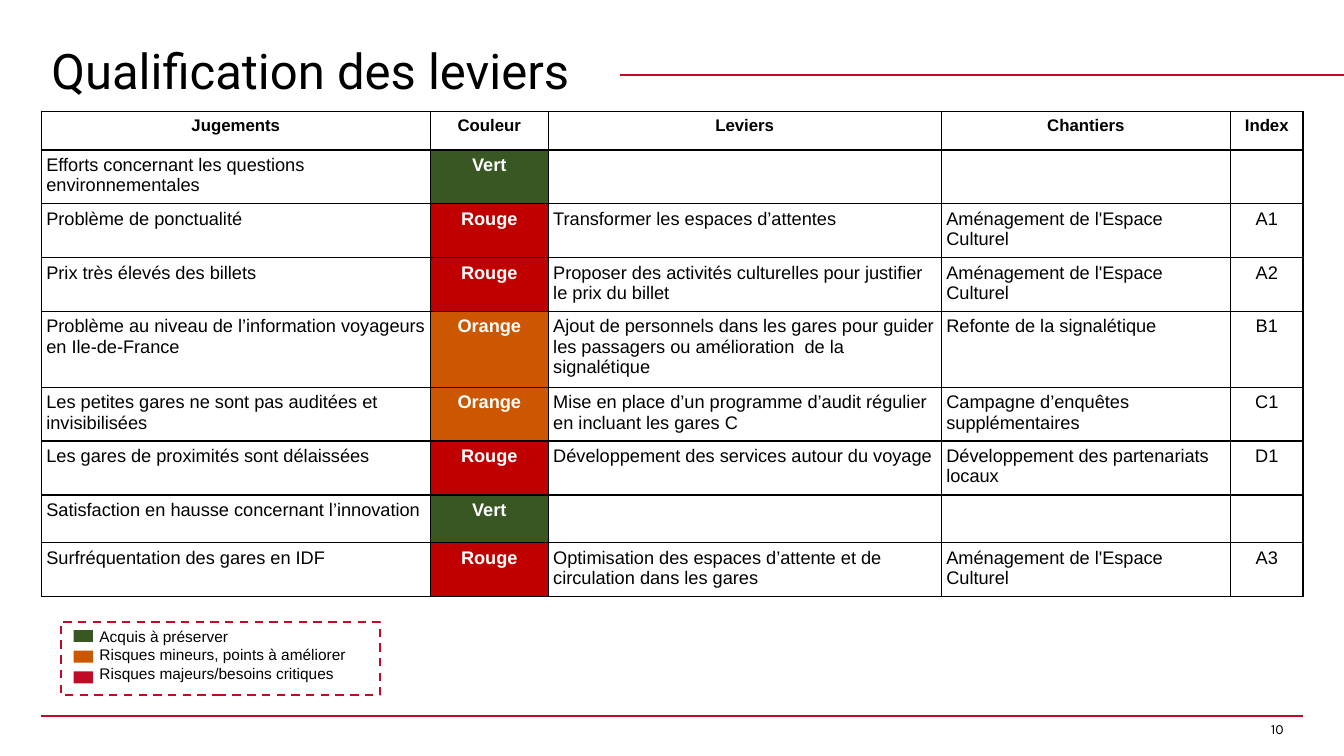
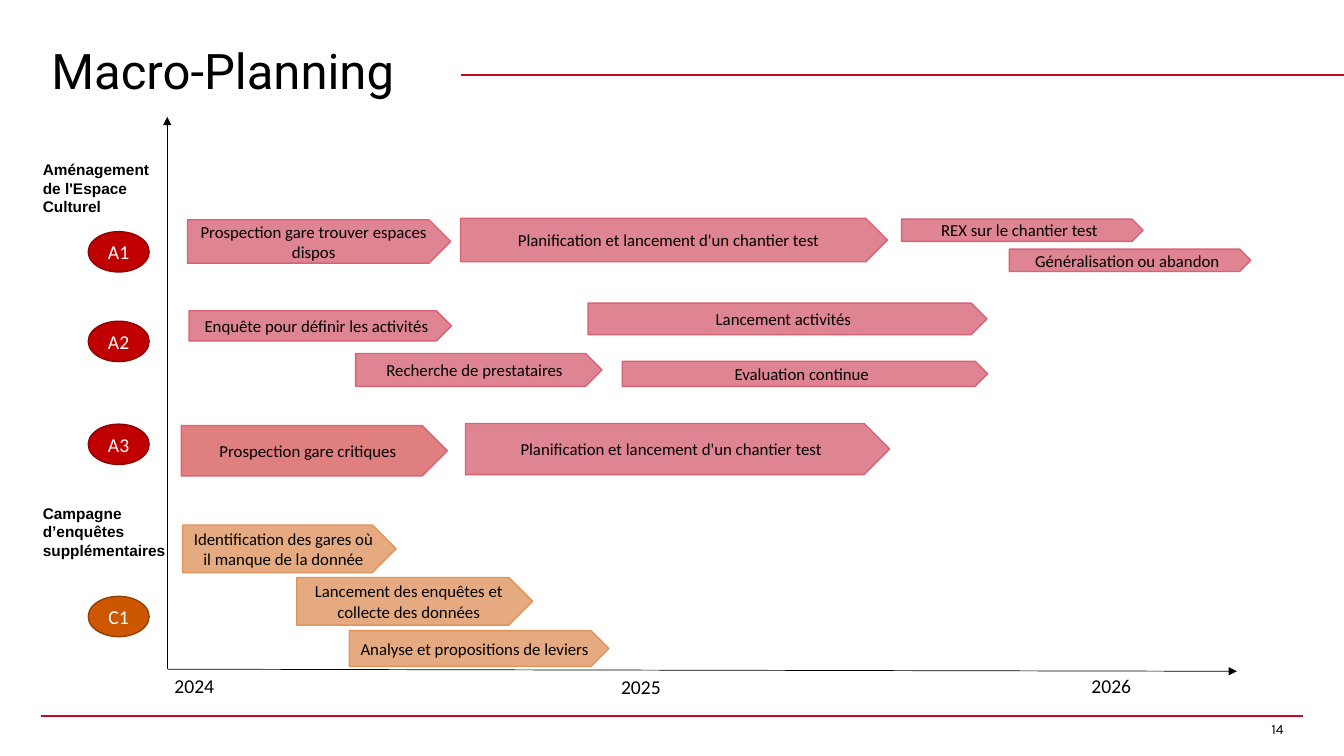
"""Build a lever qualification table and a macro-planning timeline."""
from dataclasses import dataclass
from typing import Any, Optional

import lxml.etree
import pptx
import pptx.dml.color
import pptx.enum.dml
import pptx.enum.shapes
import pptx.enum.text
import pptx.oxml.ns
import pptx.slide
import pptx.util

Pt = pptx.util.Pt
RGBColor = pptx.dml.color.RGBColor
MSO_SHAPE = pptx.enum.shapes.MSO_SHAPE
PP_ALIGN = pptx.enum.text.PP_ALIGN
MSO_ANCHOR = pptx.enum.text.MSO_ANCHOR
qn = pptx.oxml.ns.qn

BLACK = RGBColor(0x00, 0x00, 0x00)
WHITE = RGBColor(0xFF, 0xFF, 0xFF)
CRIMSON = RGBColor(0xC1, 0x0A, 0x26)
RED = RGBColor(0xC0, 0x00, 0x00)
DARK_RED = RGBColor(0x8E, 0x00, 0x00)
PINK = RGBColor(0xD7, 0x63, 0x74)
ORANGE = RGBColor(0xCC, 0x57, 0x00)
DARK_ORANGE = RGBColor(0x92, 0x3F, 0x00)
PEACH = RGBColor(0xDE, 0x94, 0x5C)
GREEN = RGBColor(0x38, 0x57, 0x23)

WIDTH, HEIGHT = 960, 540
LEFT, RIGHT = 29.5, 931
FOOTER_Y = 511.2
JUDGEMENT_COLORS = {"Vert": GREEN, "Rouge": RED, "Orange": ORANGE}


@dataclass(frozen=True)
class Lever:
    """A judgement with its rating and the lever that answers it."""
    judgement: str
    color: str
    lever: str = ""
    project: str = ""
    index: str = ""


@dataclass(frozen=True)
class Task:
    """An arrow bar on the timeline."""
    text: str
    x: float
    y: float
    w: float
    h: float
    fill: RGBColor = CRIMSON
    line: RGBColor = PINK


@dataclass(frozen=True)
class Badge:
    """An oval that names a timeline row."""
    text: str
    y: float
    fill: RGBColor = RED
    line: RGBColor = DARK_RED


@dataclass(frozen=True)
class Label:
    """A free text on the timeline."""
    text: str
    x: float
    y: float
    w: float
    h: float


HEADERS = ("Jugements", "Couleur", "Leviers", "Chantiers", "Index")
COLUMN_WIDTHS = (277.9, 84.2, 280.8, 206.6, 51.8)
CULTURE = "Aménagement de l'Espace Culturel"
SURVEYS = "Campagne d’enquêtes supplémentaires"
TEST_SITE = "Planification et lancement d'un chantier test"

LEVERS = (
    Lever("Efforts concernant les questions environnementales", "Vert"),
    Lever("Problème de ponctualité", "Rouge",
          "Transformer les espaces d’attentes", CULTURE, "A1"),
    Lever("Prix très élevés des billets", "Rouge",
          "Proposer des activités culturelles pour justifier le prix du billet", CULTURE, "A2"),
    Lever("Problème au niveau de l’information voyageurs en Ile-de-France", "Orange",
          "Ajout de personnels dans les gares pour guider les passagers ou "
          "amélioration  de la signalétique", "Refonte de la signalétique", "B1"),
    Lever("Les petites gares ne sont pas auditées et invisibilisées", "Orange",
          "Mise en place d’un programme d’audit régulier en incluant les gares C", SURVEYS, "C1"),
    Lever("Les gares de proximités sont délaissées", "Rouge",
          "Développement des services autour du voyage",
          "Développement des partenariats locaux", "D1"),
    Lever("Satisfaction en hausse concernant l’innovation", "Vert"),
    Lever("Surfréquentation des gares en IDF", "Rouge",
          "Optimisation des espaces d’attente et de circulation dans les gares", CULTURE, "A3"),
)

LEGEND = (
    ("Acquis à préserver", GREEN),
    ("Risques mineurs, points à améliorer", ORANGE),
    ("Risques majeurs/besoins critiques", CRIMSON),
)

TASKS = (
    Task("Prospection gare trouver espaces dispos", 134, 157, 188, 31),
    Task(TEST_SITE, 329, 156, 305, 31),
    Task("REX sur le chantier test", 644, 156.5, 172.5, 16),
    Task("Généralisation ou abandon", 721, 178, 172.5, 16),
    Task("Enquête pour définir les activités", 135, 222, 187.5, 21.5),
    Task("Lancement activités", 420, 216.5, 285, 22.5),
    Task("Recherche de prestataires", 254, 252.5, 176, 23.5),
    Task("Evaluation continue", 444.5, 258, 261, 18),
    Task("Prospection gare critiques", 129.5, 304, 190, 36, RED),
    Task(TEST_SITE, 332.5, 302.5, 303, 36.5),
    Task("Identification des gares où il manque de la donnée",
         130.5, 375, 152.5, 34, ORANGE, PEACH),
    Task("Lancement des enquêtes et collecte des données",
         212, 412.5, 168.5, 34, ORANGE, PEACH),
    Task("Analyse et propositions de leviers", 249.5, 450.5, 185.5, 25.5, ORANGE, PEACH),
)
BADGES = (Badge("A1", 165.5), Badge("A2", 229.5), Badge("A3", 303),
          Badge("C1", 426, ORANGE, DARK_ORANGE))
YEARS = (Label("2024", 117.5, 478, 60, 24.5), Label("2025", 436.5, 478.5, 60, 24.5),
         Label("2026", 772.5, 478, 60, 24.5))
PROJECTS = (Label(CULTURE, 23.5, 111, 103, 47.5), Label(SURVEYS, 23.5, 356.5, 108.5, 47.5))


def put_text(tf: Any, text: str, *, size: float, font: str = "Arial",
             color: RGBColor = BLACK, bold: bool = False,
             align: PP_ALIGN = PP_ALIGN.LEFT, anchor: Optional[MSO_ANCHOR] = None,
             spacing: Optional[float] = None) -> None:
    """Fill a text frame, one paragraph per line of text."""
    tf.word_wrap = True
    if anchor is not None:
        tf.vertical_anchor = anchor
    for i, line in enumerate(text.split("\n")):
        p = tf.add_paragraph() if i else tf.paragraphs[0]
        p.alignment = align
        if spacing:
            p.line_spacing = spacing
        r = p.add_run()
        r.text = line
        r.font.name, r.font.size, r.font.bold = font, Pt(size), bold
        r.font.color.rgb = color


def add_text(shapes: Any, text: str, x: float, y: float, w: float, h: float,
             **style: Any) -> None:
    """Add a text box."""
    box = shapes.add_textbox(Pt(x), Pt(y), Pt(w), Pt(h))
    put_text(box.text_frame, text, **style)


def add_shape(shapes: Any, kind: MSO_SHAPE, x: float, y: float, w: float, h: float,
              fill: Optional[RGBColor] = None, line: Optional[RGBColor] = None,
              weight: float = 1, alpha: Optional[int] = None) -> Any:
    """Add a flat preset shape; alpha is the fill opacity in percent."""
    sp = shapes.add_shape(kind, Pt(x), Pt(y), Pt(w), Pt(h))
    sp.shadow.inherit = False
    if fill is None:
        sp.fill.background()
    else:
        sp.fill.solid()
        sp.fill.fore_color.rgb = fill
    if alpha is not None:
        clr = sp._element.spPr.find(f"{qn('a:solidFill')}/{qn('a:srgbClr')}")
        lxml.etree.SubElement(clr, qn("a:alpha"), val=str(alpha * 1000))
    if line is None:
        sp.line.fill.background()
    else:
        sp.line.color.rgb = line
        sp.line.width = Pt(weight)
    return sp


def add_line(s: pptx.slide.Slide, x1: float, y1: float, x2: float, y2: float,
             color: RGBColor = CRIMSON, weight: float = 1.5, arrow: bool = False) -> None:
    """Add a straight line, with an arrowhead at its end if asked."""
    cx = s.shapes.add_connector(pptx.enum.shapes.MSO_CONNECTOR.STRAIGHT,
                                Pt(x1), Pt(y1), Pt(x2), Pt(y2))
    cx.line.color.rgb = color
    cx.line.width = Pt(weight)
    if arrow:
        lxml.etree.SubElement(cx.line._get_or_add_ln(), qn("a:tailEnd"), type="triangle")
    lxml.etree.SubElement(cx._element.spPr, qn("a:effectLst"))


def add_slide(prs: Any, title: str, rule_x: float, number: int) -> pptx.slide.Slide:
    """Add a slide with its title, rules and page number."""
    s = prs.slides.add_slide(prs.slide_layouts[5])
    sp = s.shapes.title
    sp.left, sp.top, sp.width, sp.height = Pt(LEFT), Pt(28.8), Pt(450), Pt(47.5)
    put_text(sp.text_frame, title, size=35, font="Roboto",
             anchor=MSO_ANCHOR.MIDDLE, spacing=0.9)
    sp.text_frame.auto_size = pptx.enum.text.MSO_AUTO_SIZE.NONE
    add_line(s, rule_x, 53.5, WIDTH, 53.5)
    add_line(s, LEFT, FOOTER_Y, RIGHT, FOOTER_Y)
    add_text(s.shapes, str(number), 708, FOOTER_Y, 216, 18,
             size=10, font="Karla", align=PP_ALIGN.RIGHT)
    return s


def format_cell(cell: Any, text: str, fill: Optional[RGBColor] = None, **style: Any) -> None:
    """Border, fill and write a table cell."""
    cell.margin_left = cell.margin_right = cell.margin_top = cell.margin_bottom = Pt(3.6)
    tc_pr = cell._tc.get_or_add_tcPr()
    for side in ("L", "R", "T", "B"):
        ln = lxml.etree.SubElement(tc_pr, qn(f"a:ln{side}"), w=str(Pt(1)))
        solid = lxml.etree.SubElement(ln, qn("a:solidFill"))
        lxml.etree.SubElement(solid, qn("a:srgbClr"), val=str(BLACK))
    if fill is None:
        cell.fill.background()
    else:
        cell.fill.solid()
        cell.fill.fore_color.rgb = fill
    if text:
        put_text(cell.text_frame, text, **style)


def add_lever_table(s: pptx.slide.Slide) -> None:
    """Add the table of judgements and levers."""
    frame = s.shapes.add_table(len(LEVERS) + 1, len(HEADERS), Pt(LEFT), Pt(79.7),
                               Pt(sum(COLUMN_WIDTHS)), Pt(27.4 + 34 * len(LEVERS)))
    table = frame.table
    table.first_row = table.horz_banding = False
    for column, width in zip(table.columns, COLUMN_WIDTHS):
        column.width = Pt(width)
    table.rows[0].height = Pt(27.4)
    centred = {"align": PP_ALIGN.CENTER, "anchor": MSO_ANCHOR.MIDDLE}
    for col, header in enumerate(HEADERS):
        format_cell(table.cell(0, col), header, size=12, bold=True, **centred)
    for row, lever in enumerate(LEVERS, 1):
        table.rows[row].height = Pt(34)
        for col, text in ((0, lever.judgement), (2, lever.lever), (3, lever.project)):
            format_cell(table.cell(row, col), text, size=13)
        format_cell(table.cell(row, 1), lever.color, JUDGEMENT_COLORS[lever.color],
                    size=13, color=WHITE, bold=True, **centred)
        format_cell(table.cell(row, 4), lever.index, size=13, **centred)


def add_legend(s: pptx.slide.Slide) -> None:
    """Add the grouped colour legend."""
    shapes = s.shapes.add_group_shape().shapes
    add_text(shapes, "\n".join(text for text, _ in LEGEND), 64, 444.2, 208, 47.5, size=11)
    for i, (_, color) in enumerate(LEGEND):
        add_shape(shapes, MSO_SHAPE.RECTANGLE, 52.6, 450 + 14.8 * i, 13.7, 8.6, color)
    frame = add_shape(shapes, MSO_SHAPE.RECTANGLE, 43.4, 444.2, 228.3, 52.4,
                      line=CRIMSON, weight=1.5)
    frame.line.dash_style = pptx.enum.dml.MSO_LINE.DASH


def add_timeline(s: pptx.slide.Slide) -> None:
    """Add the axes, bars, badges and labels of the planning."""
    centred = {"font": "Calibri", "align": PP_ALIGN.CENTER, "anchor": MSO_ANCHOR.MIDDLE}
    add_line(s, 119.5, 478, 119.5, 83.5, BLACK, 0.5, arrow=True)
    add_line(s, 120, 478, 883.5, 479.5, BLACK, 0.5, arrow=True)
    for year in YEARS:
        add_text(s.shapes, year.text, year.x, year.y, year.w, year.h, size=14, font="Calibri")
    for label in PROJECTS:
        add_text(s.shapes, label.text, label.x, label.y, label.w, label.h, size=11, bold=True)
    for badge in BADGES:
        sp = add_shape(s.shapes, MSO_SHAPE.OVAL, 63, badge.y, 43.5, 28.8,
                       badge.fill, badge.line)
        put_text(sp.text_frame, badge.text, size=14, color=WHITE, **centred)
    for task in TASKS:
        sp = add_shape(s.shapes, MSO_SHAPE.PENTAGON, task.x, task.y, task.w, task.h,
                       task.fill, task.line, alpha=50)
        put_text(sp.text_frame, task.text, size=12, **centred)


def main() -> None:
    """Build and save the presentation."""
    prs = pptx.Presentation()
    prs.slide_width, prs.slide_height = Pt(WIDTH), Pt(HEIGHT)
    s = add_slide(prs, "Qualification des leviers", 443, 10)
    add_lever_table(s)
    add_legend(s)
    add_timeline(add_slide(prs, "Macro-Planning", 329, 14))
    prs.save("out.pptx")


if __name__ == "__main__":
    main()
